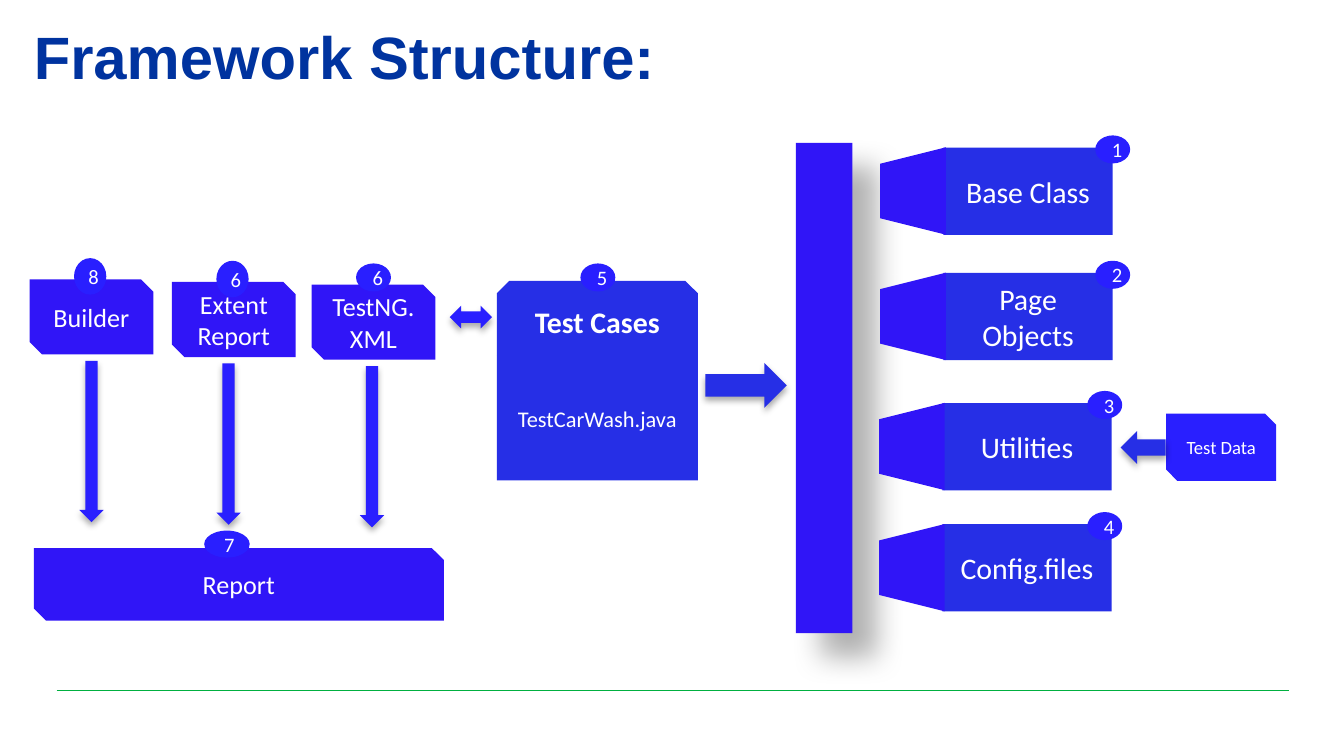
import dataclasses
import typing

import lxml.etree
import pptx
import pptx.dml.color
import pptx.enum.shapes
import pptx.enum.text
import pptx.oxml.ns
import pptx.util

Cm = pptx.util.Cm
Pt = pptx.util.Pt
qn = pptx.oxml.ns.qn
KIND = pptx.enum.shapes.MSO_SHAPE
BLUE, DEEP, VIVID = "262FE6", "3015F7", "291FFF"


class Shade(typing.NamedTuple):
    alpha: int
    blur: float
    dist: float
    angle: int


SOFT = Shade(32, 3.5, 2.2, 90)
WIDE = Shade(30, 15, 18, 45)


@dataclasses.dataclass
class Part:
    kind: KIND
    x: float
    y: float
    w: float
    h: float
    fill: str
    text: str = ""
    size: int = 14
    bold: bool = False
    turn: int = 0
    shade: typing.Optional[Shade] = None


class Module(typing.NamedTuple):
    text: str
    num: str
    x: float
    y: float
    lead: float


class Tool(typing.NamedTuple):
    text: str
    num: str
    x: float
    y: float
    shift: float
    oval: tuple[float, float]


MODULES = [
    Module("Base Class", "1", 17.83, 2.79, 2.87),
    Module("Page Objects", "2", 17.83, 5.16, 2.87),
    Module("Utilities", "3", 17.81, 7.62, 2.74),
    Module("Config.files", "4", 17.81, 9.91, 2.74),
]
TOOLS = [
    Tool("TestNG.XML", "6", 5.89, 5.38, 0.91, (0.66, 0.53)),
    Tool("Builder", "8", 0.56, 5.28, 0.94, (0.61, 0.69)),
    Tool("Extent Report", "6", 3.25, 5.33, 0.84, (0.61, 0.69)),
]
FLOW = [
    Part(KIND.RECTANGLE, 15.04, 2.7, 1.07, 9.27, DEEP, shade=WIDE),
    Part(KIND.RIGHT_ARROW, 13.33, 6.86, 1.54, 0.85, BLUE, shade=SOFT),
    Part(KIND.LEFT_RIGHT_ARROW, 8.5, 5.78, 0.8, 0.43, VIVID, shade=SOFT),
    Part(KIND.SNIP_2_DIAG_RECTANGLE, 22.04, 7.82, 2.08, 1.27, VIVID, "Test Data", 10),
    Part(KIND.LEFT_ARROW, 21.18, 8.15, 0.85, 0.62, BLUE, shade=SOFT),
    Part(KIND.RECTANGLE, 9.39, 6.73, 3.8, 2.35, BLUE, "TestCarWash.java", 12),
    Part(KIND.SNIP_2_SAME_RECTANGLE, 9.39, 5.31, 3.8, 1.42, BLUE, "Test Cases", 16, True),
    Part(KIND.SNIP_2_DIAG_RECTANGLE, 0.64, 10.36, 7.75, 1.37, DEEP, "Report"),
]


def tint(code: str) -> pptx.dml.color.RGBColor:
    """Return the colour for a hex string."""
    return pptx.dml.color.RGBColor.from_string(code)


def cast(shape: typing.Any, shade: Shade) -> None:
    """Give a shape an outer shadow."""
    box = shape.element.spPr.find(qn("a:effectLst"))
    drop = lxml.etree.SubElement(
        box, qn("a:outerShdw"), blurRad=str(Pt(shade.blur)), dist=str(Pt(shade.dist)),
        dir=str(shade.angle * 60000), rotWithShape="0")
    black = lxml.etree.SubElement(drop, qn("a:srgbClr"), val="000000")
    lxml.etree.SubElement(black, qn("a:alpha"), val=str(shade.alpha * 1000))


def style(par: typing.Any, face: str, size: int, code: str, bold: bool) -> None:
    """Set the font of a paragraph."""
    par.font.name = face
    par.font.size = Pt(size)
    par.font.color.rgb = tint(code)
    par.font.bold = bold


def draw(slide: typing.Any, part: Part) -> None:
    """Draw one filled shape with its label."""
    shape = slide.shapes.add_shape(part.kind, Cm(part.x), Cm(part.y), Cm(part.w), Cm(part.h))
    shape.rotation = part.turn
    shape.fill.solid()
    shape.fill.fore_color.rgb = tint(part.fill)
    shape.line.fill.background()
    shape.shadow.inherit = False
    if part.shade:
        cast(shape, part.shade)
    if part.text:
        frame = shape.text_frame
        frame.word_wrap = True
        frame.vertical_anchor = pptx.enum.text.MSO_ANCHOR.MIDDLE
        par = frame.paragraphs[0]
        par.text = part.text
        par.alignment = pptx.enum.text.PP_ALIGN.CENTER
        style(par, "Calibri", part.size, "FFFFFF", part.bold)


def badge(slide: typing.Any, num: str, x: float, y: float,
          w: float = 0.66, h: float = 0.53) -> None:
    """Draw a numbered oval."""
    draw(slide, Part(KIND.OVAL, x, y, w, h, VIVID, num, 11))


def module(slide: typing.Any, item: Module) -> None:
    """Draw a module box with its funnel and number."""
    x, y = item.x, item.y
    draw(slide, Part(KIND.RECTANGLE, x, y, 3.2, 1.65, BLUE, item.text, 16))
    draw(slide, Part(KIND.TRAPEZOID, x - 1.4, y + 0.2, 1.65, 1.24, DEEP, turn=270))
    badge(slide, item.num, x + item.lead, y - 0.23)


def tool(slide: typing.Any, item: Tool) -> None:
    """Draw a tool box with its number and down arrow."""
    x, y = item.x, item.y
    draw(slide, Part(KIND.DOWN_ARROW, x + item.shift, y + 1.54, 0.46, 3.05, VIVID, shade=SOFT))
    draw(slide, Part(KIND.SNIP_2_DIAG_RECTANGLE, x, y, 2.34, 1.42, DEEP, item.text))
    badge(slide, item.num, x + 0.84, y - 0.4, *item.oval)


def frame(slide: typing.Any) -> None:
    """Draw the footer rule and the title."""
    rule = slide.shapes.add_connector(
        pptx.enum.shapes.MSO_CONNECTOR.STRAIGHT, Cm(1.07), Cm(13.05), Cm(24.36), Cm(13.05))
    rule.line.color.rgb = tint("00B040")
    rule.line.width = Pt(0.8)
    lxml.etree.SubElement(rule.element.spPr, qn("a:effectLst"))
    text = slide.shapes.add_textbox(Cm(0.64), Cm(0.38), Cm(22.07), Cm(1.37)).text_frame
    text.word_wrap = True
    text.margin_left = text.margin_right = text.margin_top = text.margin_bottom = 0
    par = text.paragraphs[0]
    par.text = "Framework Structure:"
    style(par, "Arial", 32, "00339F", True)


def main() -> None:
    """Build the slide and save it."""
    deck = pptx.Presentation()
    deck.slide_width, deck.slide_height = Cm(25.4), Cm(14.29)
    slide = deck.slides.add_slide(deck.slide_layouts[6])
    frame(slide)
    for part in FLOW:
        draw(slide, part)
    for item in MODULES:
        module(slide, item)
    for item in TOOLS:
        tool(slide, item)
    badge(slide, "5", 10.97, 4.98)
    badge(slide, "7", 3.86, 10.03, 0.86, 0.51)
    deck.save("out.pptx")


if __name__ == "__main__":
    main()
